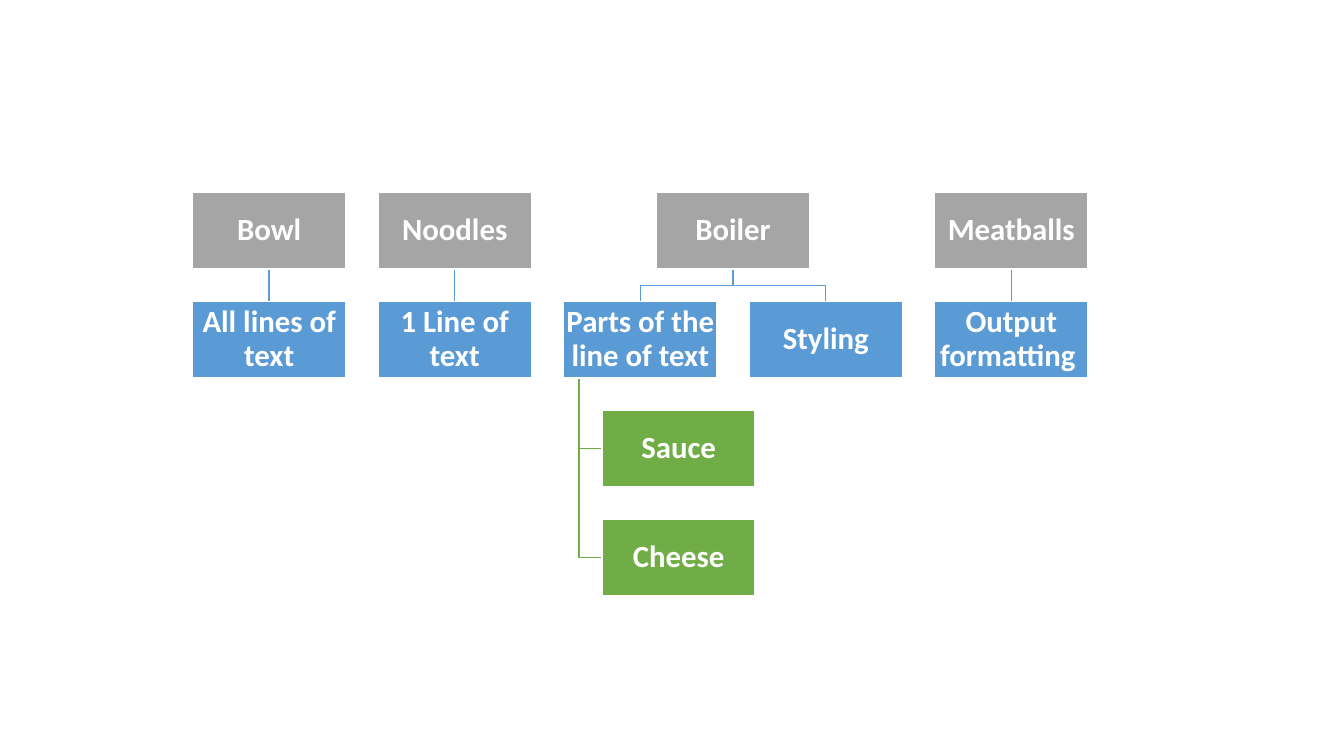
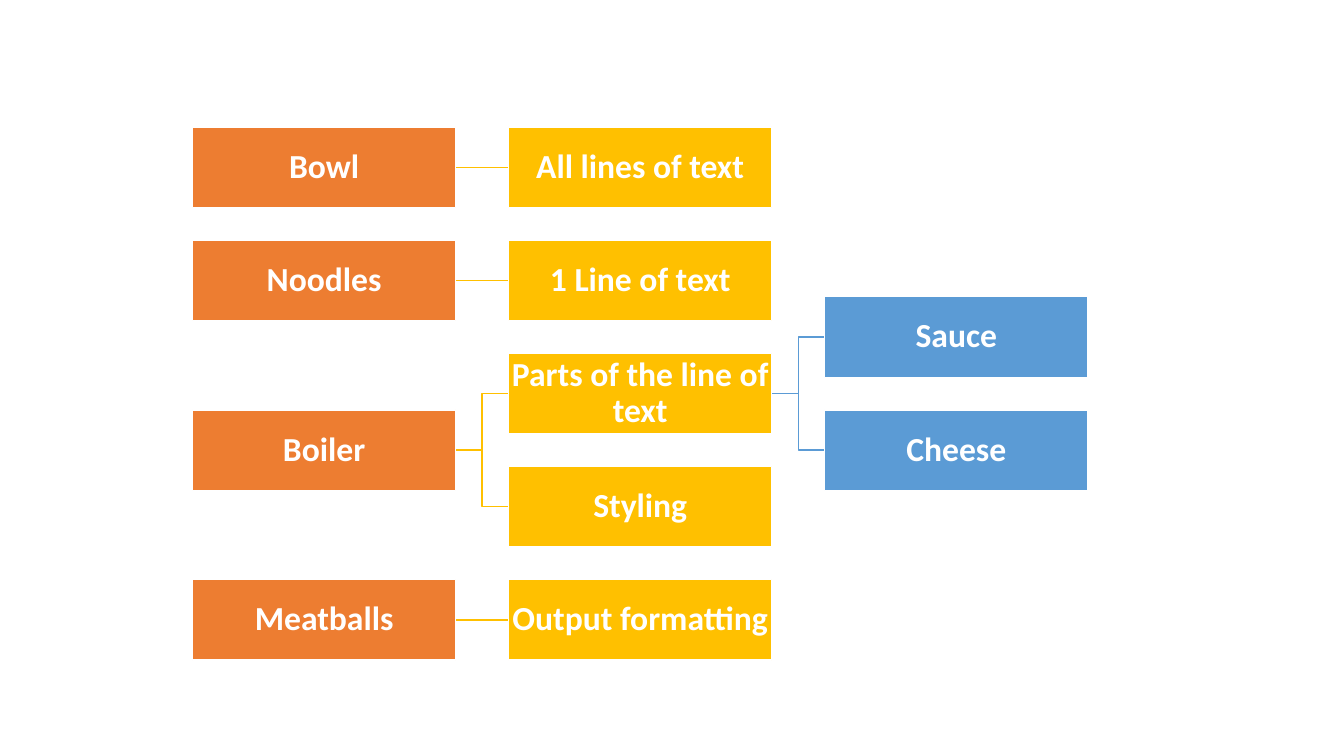
import pptx
import pptx.util
import pptx.dml.color
import pptx.enum.shapes
import pptx.enum.text
import lxml.etree

# Content: each root with its branches, and the leaves of one branch
TREE = [
    ("Bowl", ["All lines of text"]),
    ("Noodles", ["1 Line of text"]),
    ("Boiler", ["Parts of the line of text", "Styling"]),
    ("Meatballs", ["Output formatting "]),
]
LEAVES = {"Parts of the line of text": ["Sauce", "Cheese"]}

# Colours by level, then the grid of each chart in inches
DOWN = dict(fills=["A5A5A5", "5B9BD5", "70AD47"], size=22,
            left=1.91, top=1.91, wide=1.52, high=0.76, col=1.84, row=1.08)
ACROSS = dict(fills=["ED7D31", "FFC000", "5B9BD5"], size=24,
              left=1.91, top=1.26, wide=2.61, high=0.8,
              col=(8.18 - 1.91) / 2, row=(5.75 - 1.26) / 4)
FONT, WHITE = "Calibri", "FFFFFF"
INSET = 0.02

inch = pptx.util.Inches
deck = pptx.Presentation()
deck.slide_width, deck.slide_height = inch(13.33), inch(7.5)


def paint(code):
    """Turn a hex string into a colour."""
    return pptx.dml.color.RGBColor.from_string(code)


def write(frame, text, size=22, color=WHITE, bold=True):
    """Put centred text into a frame."""
    frame.word_wrap = True
    frame.vertical_anchor = pptx.enum.text.MSO_ANCHOR.MIDDLE
    frame.margin_left = frame.margin_right = inch(INSET)
    frame.margin_top = frame.margin_bottom = inch(INSET)
    para = frame.paragraphs[0]
    para.alignment = pptx.enum.text.PP_ALIGN.CENTER
    para.line_spacing = 0.9
    run = para.add_run()
    run.text = text
    run.font.name, run.font.size = FONT, pptx.util.Pt(size)
    run.font.bold, run.font.color.rgb = bold, paint(color)


def stroke(shape, color):
    """Give a shape or connector a one point line."""
    shape.line.color.rgb = paint(color)
    shape.line.width = pptx.util.Pt(1)


def box(slide, text, spot, level, grid):
    """Draw one filled box of the chart."""
    shape = slide.shapes.add_shape(
        pptx.enum.shapes.MSO_SHAPE.RECTANGLE,
        *map(inch, (*spot, grid["wide"], grid["high"])))
    shape.shadow.inherit = False
    shape.fill.solid()
    shape.fill.fore_color.rgb = paint(grid["fills"][level])
    stroke(shape, WHITE)
    write(shape.text_frame, text, size=grid["size"])


def link(slide, points, color):
    """Draw a straight connector or a bent open line."""
    dots = [(inch(x), inch(y)) for x, y in points]
    if len(dots) == 2:
        line = slide.shapes.add_connector(
            pptx.enum.shapes.MSO_CONNECTOR.STRAIGHT, *dots[0], *dots[1])
        props = line._element.spPr
        stroke(line, color)
        lxml.etree.SubElement(props, pptx.oxml.ns.qn("a:effectLst"))
        return
    outline = slide.shapes.build_freeform(*dots[0], scale=1.0)
    outline.add_line_segments(dots[1:], close=False)
    line = outline.convert_to_shape()
    line.shadow.inherit = False
    line.fill.background()
    stroke(line, color)


def layout():
    """List nodes as (text, level, slot, parent, order among siblings)."""
    nodes, slot = [], 0
    for root, kids in TREE:
        nodes.append((root, 0, slot + (len(kids) - 1) / 2, None, 0))
        for rank, kid in enumerate(kids):
            nodes.append((kid, 1, slot, root, rank))
            leaves = LEAVES.get(kid, [])
            for turn, leaf in enumerate(leaves):
                shift = turn - (len(leaves) - 1) / 2
                nodes.append((leaf, 2, slot + shift, kid, turn))
            slot += 1
    return nodes


def drop(spots, node, grid):
    """Place a node top-down; leaves hang in a list below their parent."""
    text, level, slot, parent, rank = node
    if level == 2:
        return (spots[parent][0] + grid["wide"] / 4,
                grid["top"] + (level + rank) * grid["row"])
    return grid["left"] + slot * grid["col"], grid["top"] + level * grid["row"]


def spread(spots, node, grid):
    """Place a node left to right, one column per level."""
    text, level, slot, parent, rank = node
    return grid["left"] + level * grid["col"], grid["top"] + slot * grid["row"]


def hang(start, end, level, grid):
    """Route a line from the foot of a parent to its child."""
    wide, high = grid["wide"], grid["high"]
    foot = start[1] + high
    if level == 2:
        stem, mid = start[0] + wide / 10, end[1] + high / 2
        return [(stem, foot), (stem, mid), (end[0], mid)]
    x, goal, half = start[0] + wide / 2, end[0] + wide / 2, (foot + end[1]) / 2
    if abs(x - goal) < 0.01:
        return [(x, foot), (x, end[1])]
    return [(x, foot), (x, half), (goal, half), (goal, end[1])]


def reach(start, end, level, grid):
    """Route a line from the right side of a parent to its child."""
    side, half = start[0] + grid["wide"], grid["high"] / 2
    y, goal, mid = start[1] + half, end[1] + half, (side + end[0]) / 2
    if abs(y - goal) < 0.01:
        return [(side, y), (end[0], y)]
    return [(side, y), (mid, y), (mid, goal), (end[0], goal)]


def chart(grid, place, route):
    """Build one slide: lines first, boxes above them."""
    slide = deck.slides.add_slide(deck.slide_layouts[6])
    nodes, spots = layout(), {}
    for node in nodes:
        spots[node[0]] = place(spots, node, grid)
    for text, level, slot, parent, rank in nodes:
        if parent:
            link(slide, route(spots[parent], spots[text], level, grid),
                 grid["fills"][level])
    for text, level, *rest in nodes:
        box(slide, text, spots[text], level, grid)


chart(DOWN, drop, hang)
chart(ACROSS, spread, reach)
deck.save("out.pptx")
